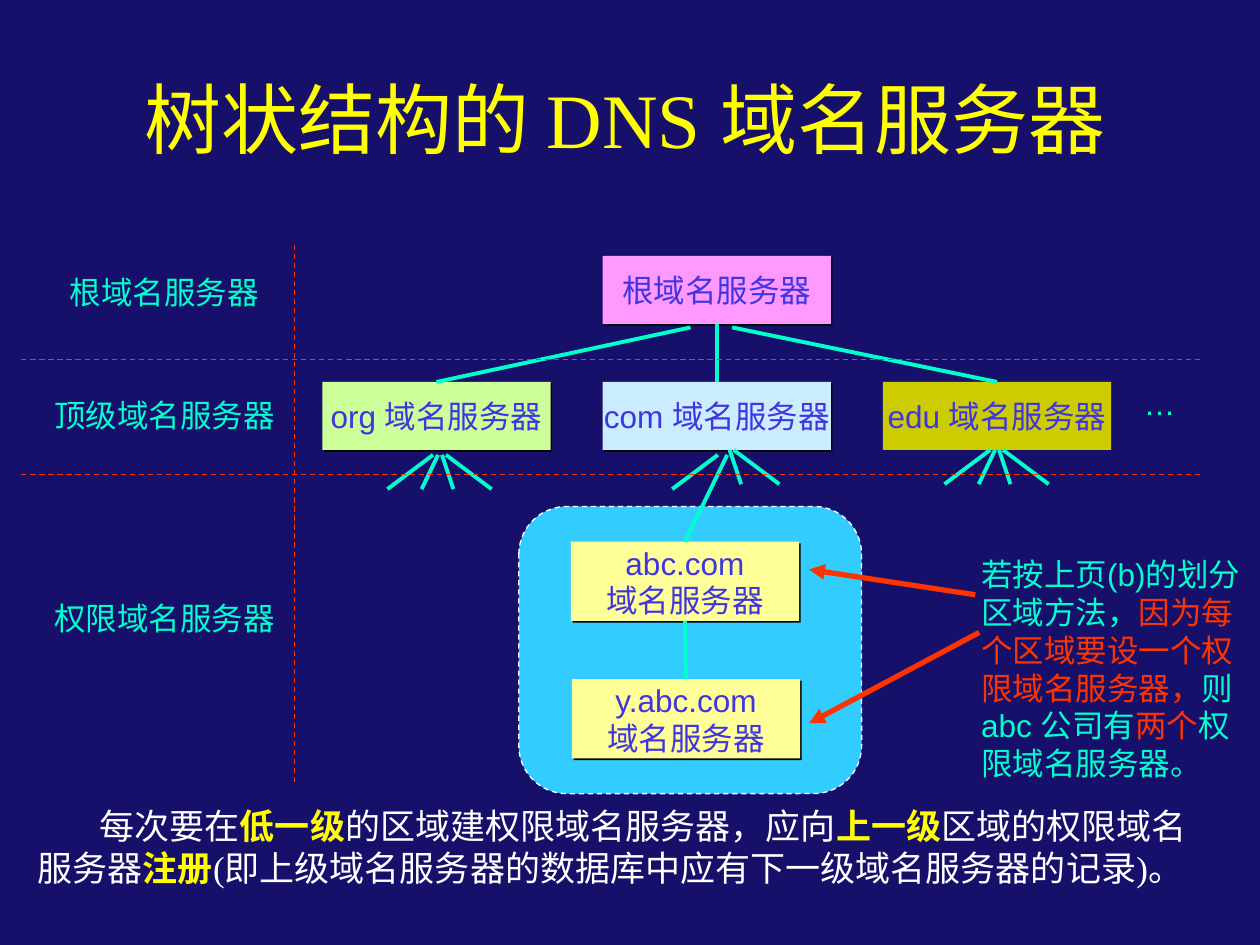
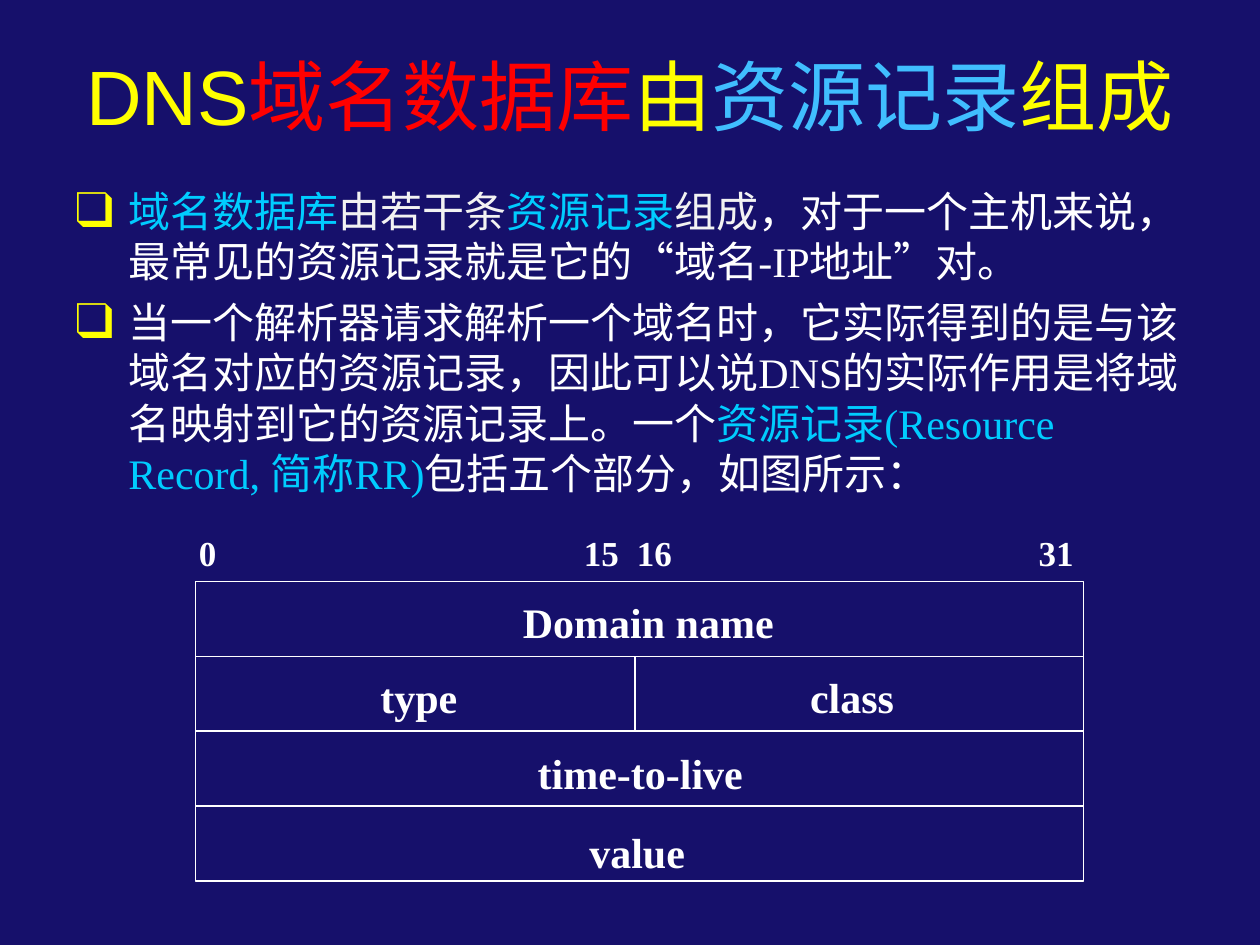
from lxml.etree import SubElement
from pptx import Presentation
from pptx.dml.color import RGBColor
from pptx.enum.dml import MSO_LINE_DASH_STYLE as DASH
from pptx.enum.shapes import MSO_CONNECTOR as CONNECTOR
from pptx.enum.shapes import MSO_SHAPE as SHAPE
from pptx.enum.text import MSO_ANCHOR as ANCHOR
from pptx.enum.text import MSO_AUTO_SIZE as AUTO_SIZE
from pptx.enum.text import PP_ALIGN as ALIGN
from pptx.oxml.ns import qn
from pptx.util import Cm, Pt

SANS, SERIF, CJK = "Arial", "Times New Roman", "Noto Sans CJK SC"
NAVY, WHITE, YELLOW = "16106B", "FFFFFF", "FFFF00"
AQUA, RED, INDIGO, CYAN = "00FFCC", "FF3300", "4035E1", "00CCFF"
SERVER_W, TIER_H, ZONE_H = 4.6, 1.37, 1.6


def rgb(value):
    return RGBColor.from_string(value)


def write(tf, paragraphs, size, font, color, align=ALIGN.LEFT, bold=False):
    for i, pieces in enumerate(paragraphs):
        p = tf.paragraphs[0] if i == 0 else tf.add_paragraph()
        p.alignment = align
        p.line_spacing = Pt(size * 1.2)
        for piece in [pieces] if isinstance(pieces, str) else pieces:
            text, tint, strong = piece if isinstance(piece, tuple) else (piece, color, bold)
            r = p.add_run()
            r.text = text
            r.font.name = font
            r.font.size = Pt(size)
            r.font.bold = strong
            r.font.color.rgb = rgb(tint)
            SubElement(r.font._element, qn("a:ea"), typeface=CJK)


def add_slide(prs, title, top, left, width, font):
    s = prs.slides.add_slide(prs.slide_layouts[5])
    s.background.fill.solid()
    s.background.fill.fore_color.rgb = rgb(NAVY)
    sp = s.shapes.title
    sp.left, sp.top, sp.width, sp.height = Cm(left), Cm(top), Cm(width), Cm(2.12)
    tf = sp.text_frame
    tf.word_wrap = True
    tf.auto_size = AUTO_SIZE.NONE
    tf.vertical_anchor = ANCHOR.MIDDLE
    write(tf, [title], 44, font, YELLOW, ALIGN.CENTER)
    return s


def add_text(s, x, y, w, h, paragraphs, size, font=SANS, color=WHITE,
             align=ALIGN.LEFT, bold=False, wrap=True):
    tf = s.shapes.add_textbox(Cm(x), Cm(y), Cm(w), Cm(h)).text_frame
    tf.word_wrap = wrap
    write(tf, paragraphs, size, font, color, align, bold)
    return tf


def add_box(s, kind, x, y, w, h, fill=None, line=None):
    sp = s.shapes.add_shape(kind, Cm(x), Cm(y), Cm(w), Cm(h))
    sp.shadow.inherit = False
    if fill:
        sp.fill.solid()
        sp.fill.fore_color.rgb = rgb(fill)
    else:
        sp.fill.background()
    if line:
        sp.line.color.rgb = rgb(line)
        sp.line.width = Pt(0.75)
    else:
        sp.line.fill.background()
    return sp


def add_server(s, x, y, h, lines, fill, shadow=True):
    sp = add_box(s, SHAPE.RECTANGLE, x, y, SERVER_W, h, fill)
    if shadow:
        effects = sp._element.spPr.find(qn("a:effectLst"))
        drop = SubElement(effects, qn("a:outerShdw"), dist=str(Pt(1.4)),
                          dir="2700000", algn="ctr", rotWithShape="0")
        SubElement(drop, qn("a:srgbClr"), val="000000")
    tf = sp.text_frame
    tf.word_wrap = False
    tf.vertical_anchor = ANCHOR.MIDDLE
    write(tf, lines, 18, SANS, INDIGO, ALIGN.CENTER)
    return sp


def add_line(s, x1, y1, x2, y2, color=AQUA, width=2.25, dash=False, arrow=False):
    c = s.shapes.add_connector(CONNECTOR.STRAIGHT, Cm(x1), Cm(y1), Cm(x2), Cm(y2))
    c.line.color.rgb = rgb(color)
    c.line.width = Pt(width)
    if dash:
        c.line.dash_style = DASH.DASH
    if arrow:
        SubElement(c.line._get_or_add_ln(), qn("a:tailEnd"), type="triangle")
    SubElement(c._element.spPr, qn("a:effectLst"))
    return c


def add_link(s, upper, lower, start=None):
    c = add_line(s, *(start or (0, 0)), 0, 0)
    if start is None:
        c.begin_connect(upper, 2)
    c.end_connect(lower, 0)


def add_fan(s, cx, top, spokes):
    for near, far in spokes:
        add_line(s, cx + near, top, cx + far, top + 0.69)


def add_bullets(tf, indent):
    for i, p in enumerate(tf.paragraphs):
        if i:
            p.space_before = Pt(6)
        pPr = p._p.get_or_add_pPr()
        pPr.set("marL", str(Cm(indent)))
        pPr.set("indent", str(-Cm(indent)))
        SubElement(SubElement(pPr, qn("a:buClr")), qn("a:srgbClr"), val=YELLOW)
        SubElement(pPr, qn("a:buSzPct"), val="120000")
        SubElement(pPr, qn("a:buFont"), typeface=SERIF)
        SubElement(pPr, qn("a:buChar"), char="❑")


def add_tabs(p, stops):
    tabs = SubElement(p._p.get_or_add_pPr(), qn("a:tabLst"))
    for stop in stops:
        SubElement(tabs, qn("a:tab"), pos=str(Cm(stop)), algn="l")


def build_server_tree(prs):
    s = add_slide(prs, "树状结构的 DNS 域名服务器", 1.32, 0.53, 24.13, SERIF)
    add_box(s, SHAPE.ROUNDED_RECTANGLE, 10.46, 10.21, 6.91, 5.79,
            "33CCFF", WHITE).line.dash_style = DASH.DASH

    root = add_server(s, 12.15, 5.16, TIER_H, ["根域名服务器"], "FF99FF")
    tier = [("org", "CCFF99", True), ("com", "CCECFF", True), ("edu", "CCCC00", False)]
    org, com, edu = [
        add_server(s, 6.5 + 5.65 * i, 7.7, TIER_H, [f"{name} 域名服务器"], fill, shadow)
        for i, (name, fill, shadow) in enumerate(tier)]
    add_link(s, root, org, (13.92, 6.6))
    add_link(s, root, com)
    add_link(s, root, edu, (14.76, 6.6))

    left = [(-0.13, -1.05), (-0.03, -0.36)]
    right = [(0.05, 0.28), (0.13, 1.05)]
    add_fan(s, 8.86, 9.17, left + right)
    add_fan(s, 14.6, 9.17, left[:1])
    add_fan(s, 14.66, 9.07, right)
    add_fan(s, 20.09, 9.07, left + right)

    abc = add_server(s, 11.51, 10.92, ZONE_H, ["abc.com", "域名服务器"], "FFFF99")
    y_abc = add_server(s, 11.53, 13.69, ZONE_H, ["y.abc.com", "域名服务器"], "FFFF99")
    add_link(s, com, abc, (14.66, 9.17))
    add_link(s, abc, y_abc)

    for y in (7.25, 9.56):
        add_line(s, 0.43, y, 24.26, y, RED, 0.75, dash=True)
    add_line(s, 5.93, 4.93, 5.93, 15.77, RED, 0.75, dash=True)
    for y, level in ((5.38, "根"), (7.85, "顶级"), (11.96, "权限")):
        add_text(s, 0.84, y, 4.95, 1.02, [f"{level}域名服务器"], 18,
                 color=AQUA, align=ALIGN.CENTER, wrap=False)
    add_text(s, 22.81, 7.62, 1.14, 1.02, ["…"], 18, color=AQUA, wrap=False)

    add_line(s, 19.66, 11.99, 16.31, 11.48, RED, 3, arrow=True)
    add_line(s, 19.74, 12.75, 16.31, 14.58, RED, 3, arrow=True)
    tf = add_text(s, 19.53, 11.07, 5.87, 4.83, [
        "若按上页(b)的划分",
        ["区域方法，", ("因为每", RED, False)],
        [("个区域要设一个权", RED, False)],
        [("限域名服务器，", RED, False), "则"],
        ["abc 公司有", ("两个", RED, False), "权"],
        "限域名服务器。",
    ], 18, color=AQUA, wrap=False)
    tf.margin_right = 0

    tf = add_text(s, 0.51, 16.1, 24.1, 2.7, [[
        "每次要在", ("低一级", YELLOW, True),
        "的区域建权限域名服务器，应向", ("上一级", YELLOW, True),
        "区域的权限域名服务器", ("注册", YELLOW, True),
        "(即上级域名服务器的数据库中应有下一级域名服务器的记录)。",
    ]], 20, SERIF)
    tf.paragraphs[0]._p.get_or_add_pPr().set("indent", str(Cm(1.25)))


def build_resource_record(prs):
    s = add_slide(prs, [
        "DNS", ("域名数据库", "FF0000", False), "由",
        ("资源记录", "40BEFF", False), "组成"], 0.84, 0, 25.4, SANS)
    tf = add_text(s, 1.27, 3.61, 23.06, 6.9, [
        [("域名数据库", CYAN, False), ("由若干条", "F2F2F2", False),
         ("资源记录", CYAN, False), ("组成", "F2F2F2", False),
         "，对于一个主机来说，最常见的资源记录就是它的“域名-IP地址”对。"],
        ["当一个解析器请求解析一个域名时，它实际得到的是与该域名对应的资源记录，"
         "因此可以说DNS的实际作用是将域名映射到它的资源记录上。一个",
         ("资源记录(Resource Record, 简称RR)", CYAN, False),
         "包括五个部分，如图所示："],
    ], 24, SERIF)
    add_bullets(tf, 1.07)

    tf = add_text(s, 3.76, 10.59, 18.4, 1.12, ["0\t15\t16\t31"], 20, SERIF, bold=True)
    add_tabs(tf.paragraphs[0], (7.76, 8.83, 16.93))

    for row in range(4):
        add_box(s, SHAPE.RECTANGLE, 3.94, 11.73 + 1.51 * row, 17.91, 1.5, line=WHITE)
    add_line(s, 12.8, 13.24, 12.8, 14.74, WHITE, 0.75)
    fields = [("Domain name", 10.29, 11.91), ("type", 7.42, 13.41), ("class", 16.08, 13.41),
              ("time-to-live", 10.59, 14.94), ("value", 11.63, 16.54)]
    for field, x, y in fields:
        add_text(s, x, y, 5.6, 1.27, [field], 24, SERIF, bold=True)


def main():
    prs = Presentation()
    prs.slide_width, prs.slide_height = Cm(25.4), Cm(19.05)
    build_server_tree(prs)
    build_resource_record(prs)
    prs.save("out.pptx")


if __name__ == "__main__":
    main()
